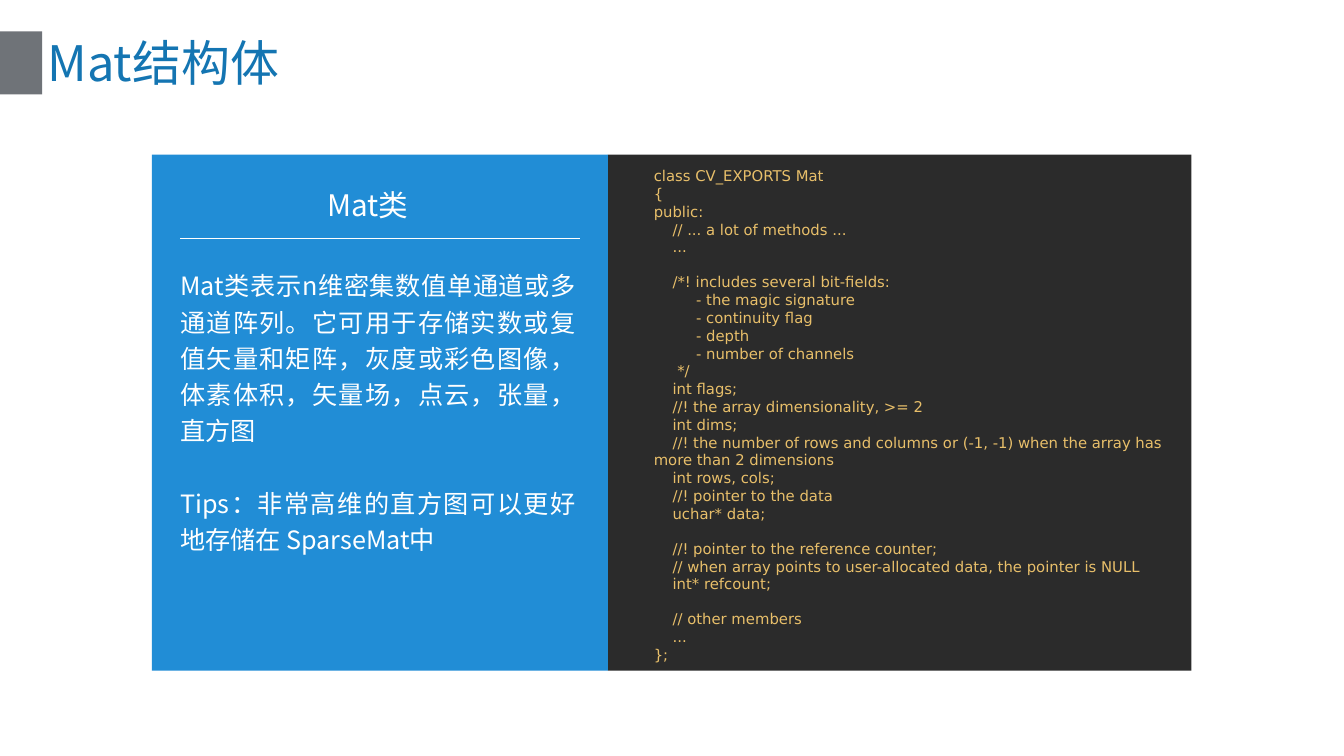
from dataclasses import dataclass

from lxml.etree import SubElement
from pptx import Presentation
from pptx.dml.color import RGBColor
from pptx.enum.shapes import MSO_CONNECTOR, MSO_SHAPE
from pptx.enum.text import MSO_ANCHOR as Anchor, PP_ALIGN as Align
from pptx.oxml.ns import qn
from pptx.util import Emu, Pt

PX = 9144  # EMU per px, 100 px to the inch


@dataclass(frozen=True)
class Theme:
    gray: str = "6F7378"
    title_blue: str = "1475B2"
    panel_blue: str = "218DD6"
    panel_dark: str = "2B2B2B"
    white: str = "FFFFFF"
    code_gold: str = "E8BF6A"
    text_font: str = "Noto Sans CJK SC"
    code_font: str = "DejaVu Sans"
    title_size: int = 66
    heading_size: int = 40
    body_size: int = 34
    code_size: int = 20


def px(*lengths):
    return [Emu(length * PX) for length in lengths]


class SlideBuilder:
    def __init__(self, slide, theme):
        self.shapes = slide.shapes
        self.theme = theme

    def panel(self, box, color):
        panel = self.shapes.add_shape(MSO_SHAPE.RECTANGLE, *px(*box))
        panel.shadow.inherit = False
        panel.fill.solid()
        panel.fill.fore_color.rgb = RGBColor.from_string(color)
        panel.line.fill.background()

    def rule(self, start, end, color):
        rule = self.shapes.add_connector(MSO_CONNECTOR.STRAIGHT, *px(*start, *end))
        rule.line.color.rgb = RGBColor.from_string(color)
        rule.line.width = Pt(1)
        SubElement(rule._element.spPr, qn("a:effectLst"))

    def text(self, box, lines, font, size, color, align=Align.LEFT,
             anchor=Anchor.MIDDLE, inset=(10, 5), spacing=None, gap=0):
        """Write one paragraph per line; an empty line becomes a gap in points before the next."""
        frame = self.shapes.add_textbox(*px(*box)).text_frame
        frame.word_wrap = True
        frame.vertical_anchor = anchor
        frame.margin_left, frame.margin_top = px(*inset)
        frame.margin_right, frame.margin_bottom = px(*inset)
        paragraph = frame.paragraphs[0]
        for number, line in enumerate(lines):
            if not line:
                continue
            if number:
                paragraph = frame.add_paragraph()
                if not lines[number - 1]:
                    paragraph.space_before = Pt(gap)
            paragraph.text = line.lstrip()
            paragraph.alignment = align
            paragraph.line_spacing = spacing
            self.style(paragraph, font, size, color)
            self.indent(paragraph, len(line) - len(line.lstrip()), size)

    def style(self, paragraph, font, size, color):
        paragraph.font.name = font
        paragraph.font.size = Pt(size)
        paragraph.font.color.rgb = RGBColor.from_string(color)
        defaults = paragraph._p.get_or_add_pPr().find(qn("a:defRPr"))
        SubElement(defaults, qn("a:ea"), typeface=font)

    def indent(self, paragraph, columns, size):
        """Indent the first line by a number of space widths."""
        if columns:
            space_width = 0.318 * size
            properties = paragraph._p.get_or_add_pPr()
            properties.set("marL", "0")
            properties.set("indent", str(Pt(columns * space_width)))


MAT_DESCRIPTION = [
    "Mat类表示n维密集数值单通道或多通道阵列。它可用于存储实数或复值矢量和矩阵，"
    "灰度或彩色图像，体素体积，矢量场，点云，张量，直方图",
    "",
    "Tips：非常高维的直方图可以更好地存储在 SparseMat中",
]

MAT_CODE = """class CV_EXPORTS Mat
{
public:
    // ... a lot of methods ...
    ...

    /*! includes several bit-fields:
         - the magic signature
         - continuity flag
         - depth
         - number of channels
     */
    int flags;
    //! the array dimensionality, >= 2
    int dims;
    //! the number of rows and columns or (-1, -1) when the array has more than 2 dimensions
    int rows, cols;
    //! pointer to the data
    uchar* data;

    //! pointer to the reference counter;
    // when array points to user-allocated data, the pointer is NULL
    int* refcount;

    // other members
    ...
};"""


def main():
    deck = Presentation()
    deck.slide_width, deck.slide_height = px(2520, 1417)
    theme = Theme()
    page = SlideBuilder(deck.slides.add_slide(deck.slide_layouts[6]), theme)

    page.panel((0, 59, 79, 118), theme.gray)
    page.text((79, 57, 2362, 120), ["Mat结构体"], theme.text_font,
              theme.title_size, theme.title_blue)

    page.panel((1140, 290, 1094, 967), theme.panel_dark)
    page.panel((285, 290, 855, 967), theme.panel_blue)

    page.text((331, 343, 717, 82), ["Mat类"], theme.text_font, theme.heading_size,
              theme.white, align=Align.CENTER, inset=(7, 7))
    page.rule((338, 446), (1087, 446), theme.white)
    page.text((331, 488, 756, 560), MAT_DESCRIPTION, theme.text_font, theme.body_size,
              theme.white, align=Align.JUSTIFY, inset=(7, 7), spacing=1.2, gap=49)

    page.text((1216, 308, 1003, 986), MAT_CODE.split("\n"), theme.code_font,
              theme.code_size, theme.code_gold, anchor=Anchor.TOP, gap=23.3)

    deck.save("out.pptx")


if __name__ == "__main__":
    main()
